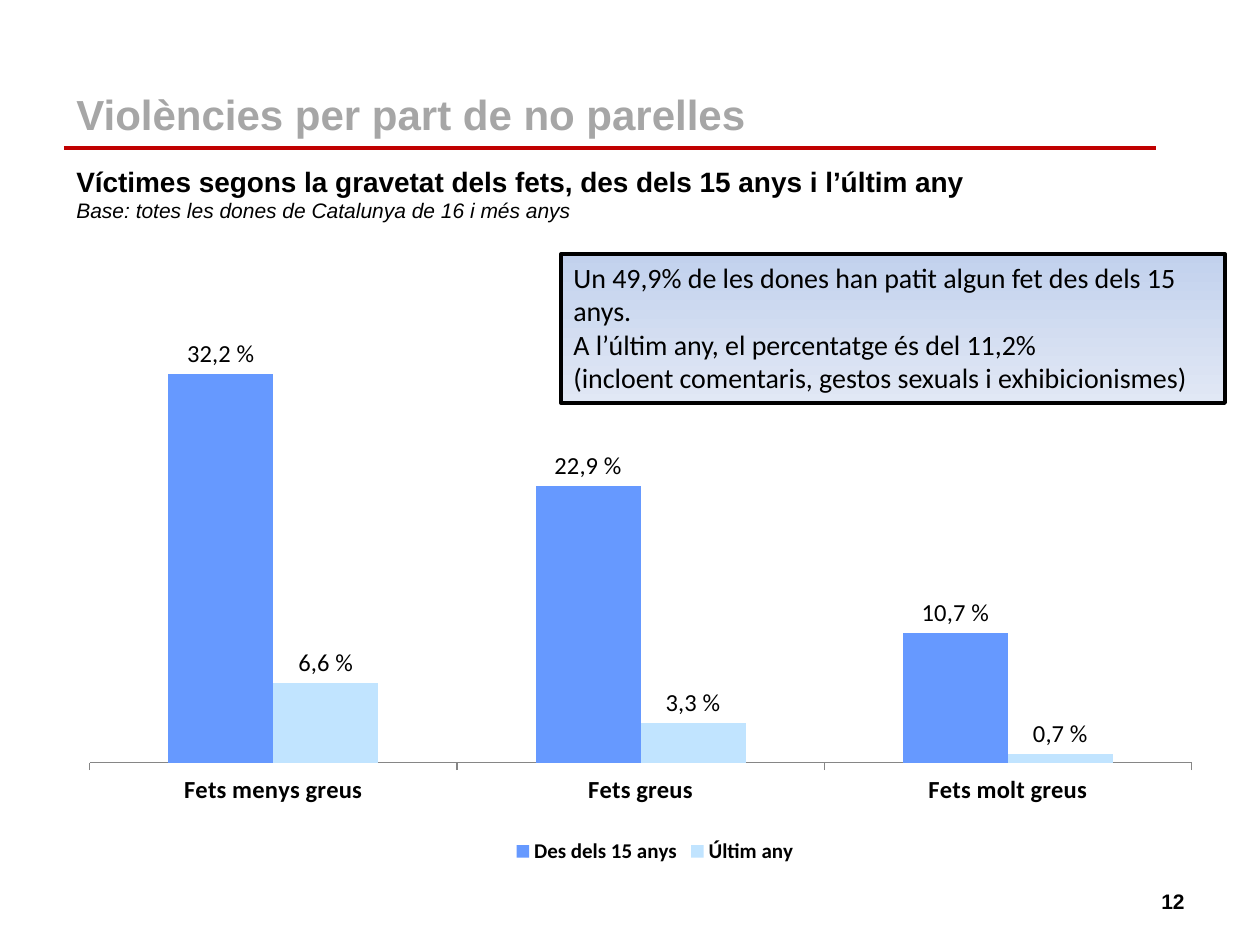
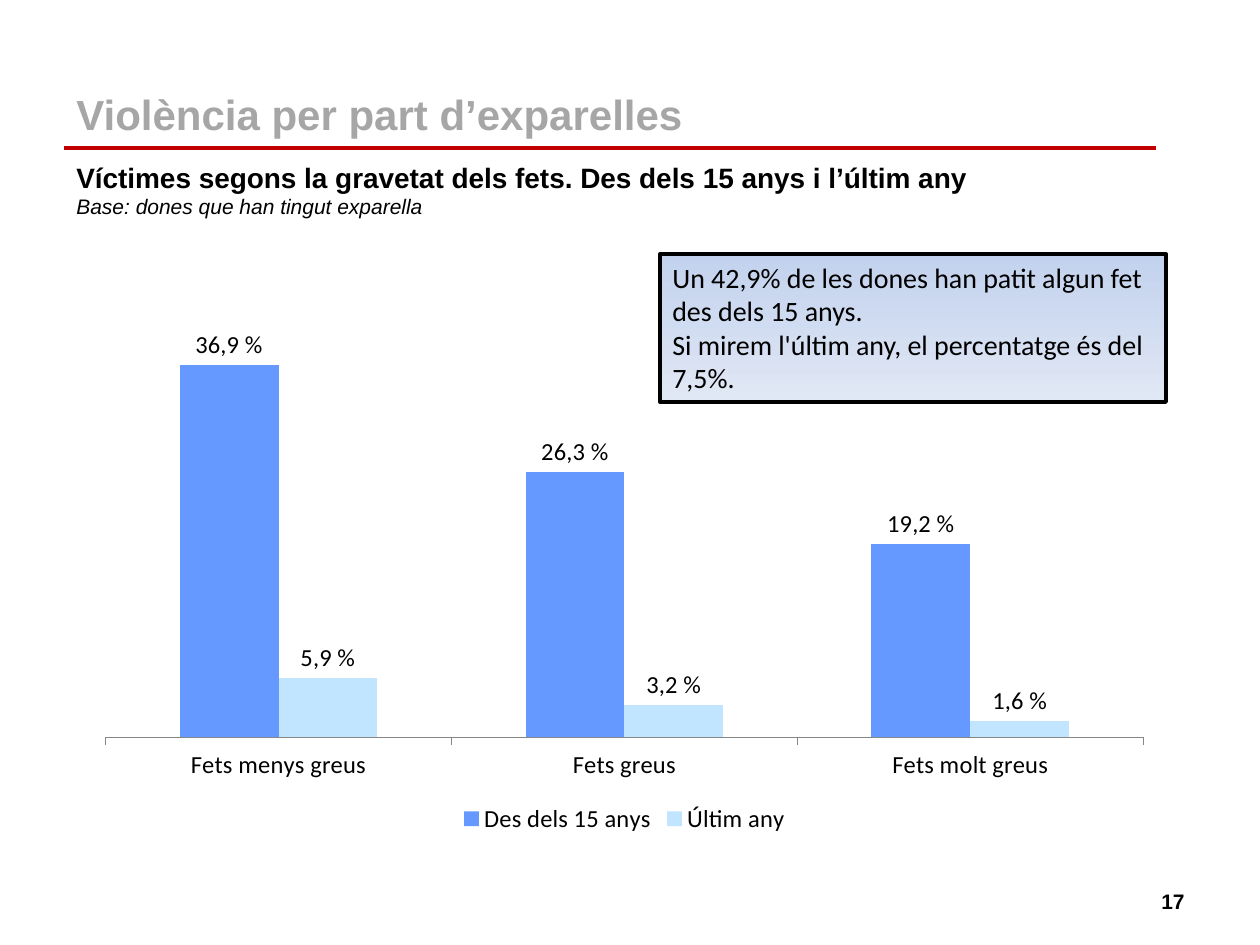
"""Build two slides on violence victims by severity, each with a column chart and a callout."""
from dataclasses import dataclass

from lxml.etree import SubElement
from pptx import Presentation
from pptx.chart.data import CategoryChartData as ChartData
from pptx.dml.color import RGBColor as Color
from pptx.enum.chart import XL_CHART_TYPE as ChartType
from pptx.enum.chart import XL_LABEL_POSITION as LabelPosition
from pptx.enum.chart import XL_LEGEND_POSITION as LegendPosition
from pptx.enum.chart import XL_TICK_LABEL_POSITION as TickLabels
from pptx.enum.chart import XL_TICK_MARK as TickMark
from pptx.enum.shapes import MSO_CONNECTOR as Connector
from pptx.enum.shapes import MSO_SHAPE as Shape
from pptx.enum.text import MSO_ANCHOR as Anchor
from pptx.enum.text import PP_ALIGN as Align
from pptx.oxml.ns import qn
from pptx.util import Emu, Pt


@dataclass(frozen=True)
class Theme:
    """Colours, fonts and type sizes shared by the slides."""
    title: str = "A6A6A6"
    rule: str = "C00000"
    text: str = "000000"
    axis: str = "868686"
    bars: tuple = ("6699FF", "C1E4FF")
    callout: tuple = ("C2D1ED", "E1E8F5")
    heading_font: str = "Arial"
    body_font: str = "Calibri"
    title_size: int = 24
    lead_size: int = 16
    label_size: int = 14
    small_size: int = 12
    line_width: float = 2.25


THEME = Theme()
CATEGORIES = ("Fets menys greus", "Fets greus", "Fets molt greus")
SERIES_NAMES = ("Des dels 15 anys", "Últim any")
SLIDES = (
    {
        "title": "Violències per part de no parelles",
        "subtitle": "Víctimes segons la gravetat dels fets, des dels 15 anys i l’últim any",
        "base": "Base: totes les dones de Catalunya de 16 i més anys",
        "subtitle_top": 158,
        "number": "12",
        "chart": {
            "box": (84, 324, 1142, 545),
            "values": ((32.2, 22.9, 10.7), (6.6, 3.3, 0.7)),
            "maximum": 35,
            "plot_box": (90, 340, 1102, 423),
            "axis_format": {"size": Pt(THEME.label_size), "bold": True},
            "legend_format": {"size": Pt(THEME.small_size), "bold": True},
        },
        "callout_box": (561, 254, 664, 149),
        "callout": (
            "Un 49,9% de les dones han patit algun fet des dels 15 anys.",
            "A l’últim any, el percentatge és del 11,2%",
            "(incloent comentaris, gestos sexuals i exhibicionismes)",
        ),
    },
    {
        "title": "Violència per part d’exparelles",
        "subtitle": "Víctimes segons la gravetat dels fets. Des dels 15 anys i l’últim any",
        "base": "Base: dones que han tingut exparella",
        "subtitle_top": 154,
        "number": "17",
        "chart": {
            "box": (84, 324, 1081, 515),
            "values": ((36.9, 26.3, 19.2), (5.9, 3.2, 1.6)),
            "maximum": 40,
            "plot_box": (106, 334, 1038, 404),
            "axis_format": {"size": Pt(THEME.label_size), "bold": False},
            "legend_format": {"size": Pt(THEME.label_size), "bold": False},
        },
        "callout_box": (660, 254, 506, 148),
        "callout": (
            "Un 42,9% de les dones han patit algun fet des dels 15 anys.",
            "Si mirem l'últim any, el percentatge és del 7,5%.",
        ),
    },
)


def px(length):
    """Turn pixels at 126 to the inch into EMU."""
    return Emu(round(length * 914400 / 126))


def apply_formats(target, formats):
    """Set each named attribute of the target."""
    for name, value in formats.items():
        setattr(target, name, value)


def style_font(font, formats, color=THEME.text):
    """Format a font and give it a solid colour."""
    apply_formats(font, formats)
    font.color.rgb = Color.from_string(color)


def write_lines(text_frame, lines, color=THEME.text, align=Align.LEFT):
    """Write one paragraph for each pair of text and font formats."""
    text_frame.word_wrap = True
    for index, (text, formats) in enumerate(lines):
        paragraph = text_frame.add_paragraph() if index else text_frame.paragraphs[0]
        paragraph.alignment = align
        run = paragraph.add_run()
        run.text = text
        style_font(run.font, formats, color)


def add_text(slide, box, lines, anchor=Anchor.TOP, **options):
    """Add a wrapped text box."""
    text_frame = slide.shapes.add_textbox(*map(px, box)).text_frame
    text_frame.vertical_anchor = anchor
    write_lines(text_frame, lines, **options)


def heading(size, **formats):
    """Return heading font formats at a point size."""
    return {"name": THEME.heading_font, "size": Pt(size), **formats}


def add_frame(slide, title, number):
    """Add the red rule, title and page number."""
    rule = slide.shapes.add_connector(Connector.STRAIGHT, *map(px, (64, 148, 1156, 148)))
    rule.line.color.rgb = Color.from_string(THEME.rule)
    rule.line.width = Pt(THEME.line_width)
    SubElement(rule._element.spPr, qn("a:effectLst"))
    add_text(slide, (64, 79, 1150, 69), [(title, heading(THEME.title_size, bold=True))],
             Anchor.MIDDLE, color=THEME.title)
    add_text(slide, (903, 876, 294, 50), [(number, heading(THEME.small_size, bold=True))],
             Anchor.MIDDLE, align=Align.RIGHT)


def add_subtitle(slide, top, subtitle, base):
    """Add the bold subtitle over the italic survey base."""
    add_text(slide, (64, top, 1071, 72), [
        (subtitle, heading(THEME.lead_size, bold=True)),
        (base, heading(THEME.small_size, italic=True)),
    ])


def place_plot(chart, box, plot_box):
    """Fix the inner plot area inside the chart box."""
    left, top, width, height = box
    plot_left, plot_top, plot_width, plot_height = plot_box
    fractions = {
        "x": (plot_left - left) / width, "y": (plot_top - top) / height,
        "w": plot_width / width, "h": plot_height / height,
    }
    plot_area = chart._chartSpace.chart.plotArea
    for old_layout in plot_area.findall(qn("c:layout")):
        plot_area.remove(old_layout)
    layout = plot_area.makeelement(qn("c:layout"))
    plot_area.insert(0, layout)
    manual = SubElement(layout, qn("c:manualLayout"))
    settings = {"layoutTarget": "inner", "xMode": "edge", "yMode": "edge"}
    settings.update((name, f"{value:.3f}") for name, value in fractions.items())
    for name, value in settings.items():
        SubElement(manual, qn(f"c:{name}")).set("val", value)


def style_series(series, color):
    """Colour a series and label each bar with a decimal comma."""
    series.format.fill.solid()
    series.format.fill.fore_color.rgb = Color.from_string(color)
    formats = {"name": THEME.body_font, "size": Pt(THEME.label_size), "bold": False}
    labels = series.data_labels
    apply_formats(labels, {"show_value": True, "position": LabelPosition.OUTSIDE_END})
    style_font(labels.font, formats)
    for index, value in enumerate(series.values):
        label = series.points[index].data_label
        run = label.text_frame.paragraphs[0].add_run()
        run.text = f"{value:.1f} %".replace(".", ",")
        style_font(run.font, formats)
        label.position = LabelPosition.OUTSIDE_END


def add_column_chart(slide, box, values, maximum, plot_box, axis_format, legend_format):
    """Add the clustered columns with a hidden value axis."""
    data = ChartData(number_format="0.0")
    data.categories = CATEGORIES
    for name, series_values in zip(SERIES_NAMES, values):
        data.add_series(name, series_values)
    chart = slide.shapes.add_chart(ChartType.COLUMN_CLUSTERED, *map(px, box), data).chart
    apply_formats(chart, {"has_title": False, "has_legend": True})
    style_font(chart.font, {"name": THEME.body_font, "size": Pt(THEME.label_size)})
    apply_formats(chart.plots[0], {"gap_width": 150, "overlap": 0, "vary_by_categories": False})
    for series, color in zip(chart.plots[0].series, THEME.bars):
        style_series(series, color)
    apply_formats(chart.value_axis, {
        "minimum_scale": 0, "maximum_scale": maximum,
        "has_major_gridlines": False, "visible": False,
    })
    axis = chart.category_axis
    apply_formats(axis, {
        "major_tick_mark": TickMark.OUTSIDE, "minor_tick_mark": TickMark.NONE,
        "tick_label_position": TickLabels.NEXT_TO_AXIS,
    })
    axis.format.line.color.rgb = Color.from_string(THEME.axis)
    style_font(axis.tick_labels.font, axis_format)
    apply_formats(chart.legend, {"position": LegendPosition.BOTTOM, "include_in_layout": False})
    style_font(chart.legend.font, legend_format)
    place_plot(chart, box, plot_box)


def add_callout(slide, box, texts):
    """Add the framed gradient box with the key figures."""
    shape = slide.shapes.add_shape(Shape.RECTANGLE, *map(px, box))
    shape.shadow.inherit = False
    shape.fill.gradient()
    shape.fill.gradient_angle = 270
    for stop, color in zip(shape.fill.gradient_stops, THEME.callout):
        stop.color.rgb = Color.from_string(color)
    shape.line.color.rgb = Color.from_string(THEME.text)
    shape.line.width = Pt(THEME.line_width)
    shape.text_frame.vertical_anchor = Anchor.TOP
    formats = {"name": THEME.body_font, "size": Pt(THEME.lead_size)}
    write_lines(shape.text_frame, [(text, formats) for text in texts])


def main():
    """Build and save the presentation."""
    presentation = Presentation()
    apply_formats(presentation, {"slide_width": px(1260), "slide_height": px(945)})
    for content in SLIDES:
        slide = presentation.slides.add_slide(presentation.slide_layouts[6])
        add_frame(slide, content["title"], content["number"])
        add_subtitle(slide, content["subtitle_top"], content["subtitle"], content["base"])
        add_column_chart(slide, **content["chart"])
        add_callout(slide, content["callout_box"], content["callout"])
    presentation.save("out.pptx")


if __name__ == "__main__":
    main()
